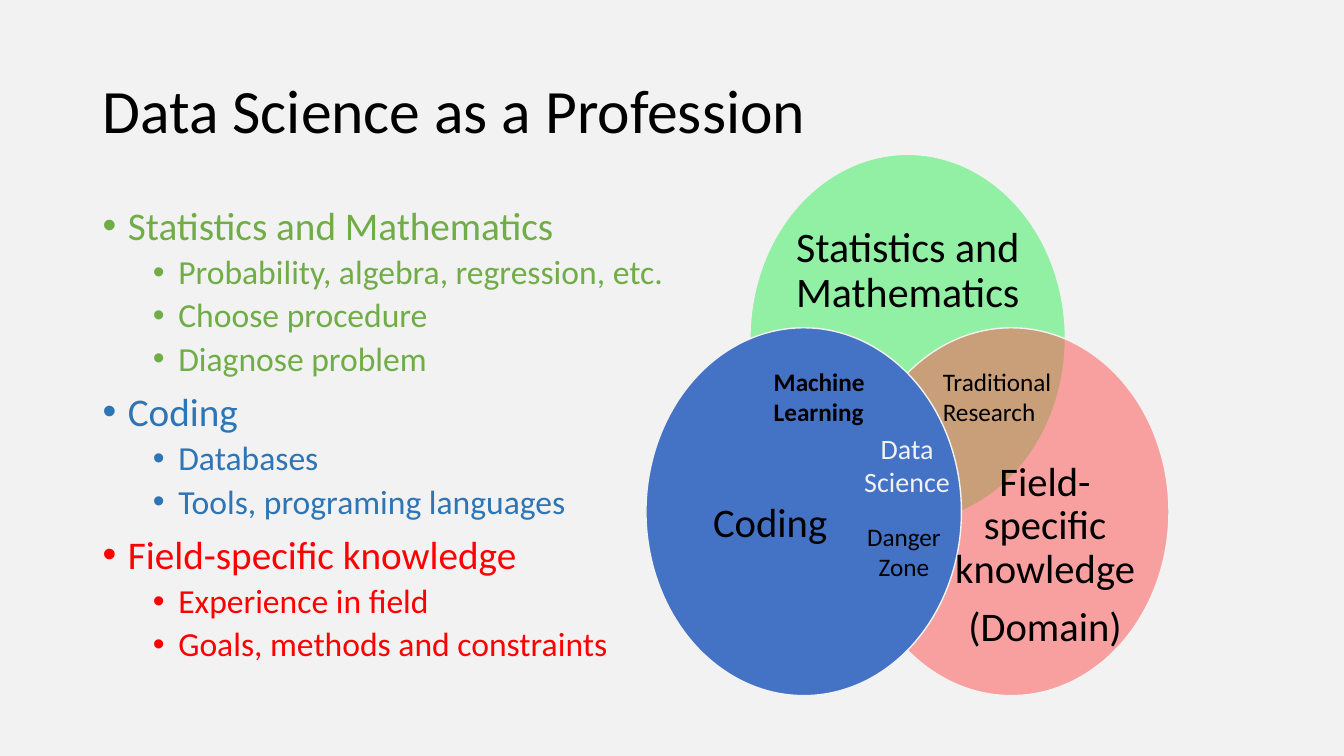
from dataclasses import dataclass

from lxml import etree
from pptx import Presentation
from pptx.dml.color import RGBColor
from pptx.enum import shapes, text
from pptx.oxml import ns
from pptx.util import Cm, Pt

BACKGROUND = RGBColor(0xF2, 0xF2, 0xF2)
BLACK = RGBColor(0x00, 0x00, 0x00)
GREEN = RGBColor(0x70, 0xAD, 0x47)
BLUE = RGBColor(0x2E, 0x75, 0xB6)
RED = RGBColor(0xFF, 0x00, 0x00)
CIRCLE_GREEN = RGBColor(0x91, 0xF0, 0xA3)
CIRCLE_RED = RGBColor(0xFF, 0x50, 0x50)
CIRCLE_BLUE = RGBColor(0x44, 0x72, 0xC4)
FONT = "Calibri"
CIRCLE_W, CIRCLE_H = 7.95, 9.27
CENTER, LEFT = text.PP_ALIGN.CENTER, text.PP_ALIGN.LEFT


@dataclass
class Skill:
    name: str
    color: RGBColor
    details: list[str]


@dataclass
class Label:
    """Text with its box in centimetres."""
    lines: list[str]
    left: float
    top: float
    width: float
    height: float
    size: int
    color: RGBColor = BLACK
    bold: bool = False
    align: text.PP_ALIGN = CENTER


@dataclass
class Circle:
    left: float
    top: float
    color: RGBColor
    alpha: int
    label: Label


SKILLS = [
    Skill("Statistics and Mathematics", GREEN,
          ["Probability, algebra, regression, etc.", "Choose procedure", "Diagnose problem"]),
    Skill("Coding", BLUE, ["Databases", "Tools, programing languages"]),
    Skill("Field-specific knowledge", RED,
          ["Experience in field", "Goals, methods and constraints"]),
]

CIRCLES = [
    Circle(18.9, 3.89, CIRCLE_GREEN, 100,
           Label(["Statistics and Mathematics"], 19.96, 5.53, 5.84, 2.62, 30)),
    Circle(21.51, 8.26, CIRCLE_RED, 50,
           Label(["Field-specific knowledge", "(Domain)"], 23.95, 11.45, 4.78, 5.11, 29)),
    Circle(16.28, 8.26, CIRCLE_BLUE, 100,
           Label(["Coding"], 17.02, 10.66, 4.78, 5.11, 29)),
]

OVERLAPS = [
    Label(["Data Science"], 21.41, 10.74, 2.9, 1.96, 20, BACKGROUND),
    Label(["Machine Learning"], 19.25, 9.1, 2.9, 1.8, 18, bold=True, align=LEFT),
    Label(["Traditional Research"], 23.51, 9.1, 3.33, 1.8, 18, align=LEFT),
    Label(["Danger Zone"], 21.33, 13, 2.9, 1.8, 18),
]


def place(s, left: float, top: float, width: float, height: float) -> None:
    s.left, s.top, s.width, s.height = Cm(left), Cm(top), Cm(width), Cm(height)


def format_runs(p, size: int, color: RGBColor, bold: bool = False) -> None:
    for r in p.runs:
        r.font.name, r.font.size, r.font.bold = FONT, Pt(size), bold
        r.font.color.rgb = color


def add_title(s, title: str) -> None:
    place(s, 2.33, 1.01, 29.21, 3.68)
    tf = s.text_frame
    tf.text = title
    tf.auto_size = text.MSO_AUTO_SIZE.NONE
    tf.vertical_anchor = text.MSO_ANCHOR.MIDDLE
    p = tf.paragraphs[0]
    p.alignment, p.line_spacing = LEFT, 0.9
    format_runs(p, 44, BLACK)


def add_bullet(p, margin: float) -> None:
    pPr = p._p.get_or_add_pPr()
    pPr.set("marL", str(Cm(margin)))
    pPr.set("indent", str(-Cm(0.64)))
    etree.SubElement(pPr, ns.qn("a:buFont")).set("typeface", "Arial")
    etree.SubElement(pPr, ns.qn("a:buChar")).set("char", "•")


def add_skills(s, skills: list[Skill]) -> None:
    place(s, 2.33, 5.07, 29.21, 12.09)
    tf = s.text_frame
    tf.auto_size = text.MSO_AUTO_SIZE.NONE
    rows = [(line, int(i > 0), skill.color)
            for skill in skills
            for i, line in enumerate([skill.name, *skill.details])]
    tf.text = "\n".join(line for line, _, _ in rows)
    for p, (_, level, color) in zip(tf.paragraphs, rows):
        p.level, p.line_spacing = level, 0.9
        p.space_before = Pt(5 if level else 10)
        add_bullet(p, 1.91 if level else 0.64)
        format_runs(p, 24 if level else 28, color)


def add_label(sp_tree, label: Label, in_circle: bool = False) -> None:
    s = sp_tree.add_textbox(0, 0, 0, 0)
    place(s, label.left, label.top, label.width, label.height)
    tf = s.text_frame
    tf.word_wrap = True
    tf.text = "\n".join(label.lines)
    if in_circle:
        tf.margin_left = tf.margin_right = tf.margin_top = tf.margin_bottom = 0
        tf.vertical_anchor = text.MSO_ANCHOR.MIDDLE
    for i, p in enumerate(tf.paragraphs):
        p.alignment = label.align
        if in_circle:
            p.line_spacing = 0.9
            p.space_before = Pt(10 if i else 0)
        format_runs(p, label.size, label.color, label.bold)


def add_circle(sp_tree, circle: Circle) -> None:
    s = sp_tree.add_shape(shapes.MSO_SHAPE.OVAL, 0, 0, 0, 0)
    place(s, circle.left, circle.top, CIRCLE_W, CIRCLE_H)
    s.shadow.inherit = False
    s.fill.solid()
    s.fill.fore_color.rgb = circle.color
    if circle.alpha < 100:
        color = s._element.spPr.find(ns.qn("a:solidFill"))[0]
        etree.SubElement(color, ns.qn("a:alpha")).set("val", str(circle.alpha * 1000))
    s.line.color.rgb, s.line.width = BACKGROUND, Pt(1)


def main() -> None:
    prs = Presentation()
    prs.slide_width, prs.slide_height = Cm(33.87), Cm(19.05)
    slide = prs.slides.add_slide(prs.slide_layouts[1])
    slide.background.fill.solid()
    slide.background.fill.fore_color.rgb = BACKGROUND
    add_title(slide.shapes.title, "Data Science as a Profession")
    add_skills(slide.placeholders[1], SKILLS)
    for circle in CIRCLES:
        add_circle(slide.shapes, circle)
    for circle in CIRCLES:
        add_label(slide.shapes, circle.label, in_circle=True)
    for label in OVERLAPS:
        add_label(slide.shapes, label)
    prs.save("out.pptx")


if __name__ == "__main__":
    main()
